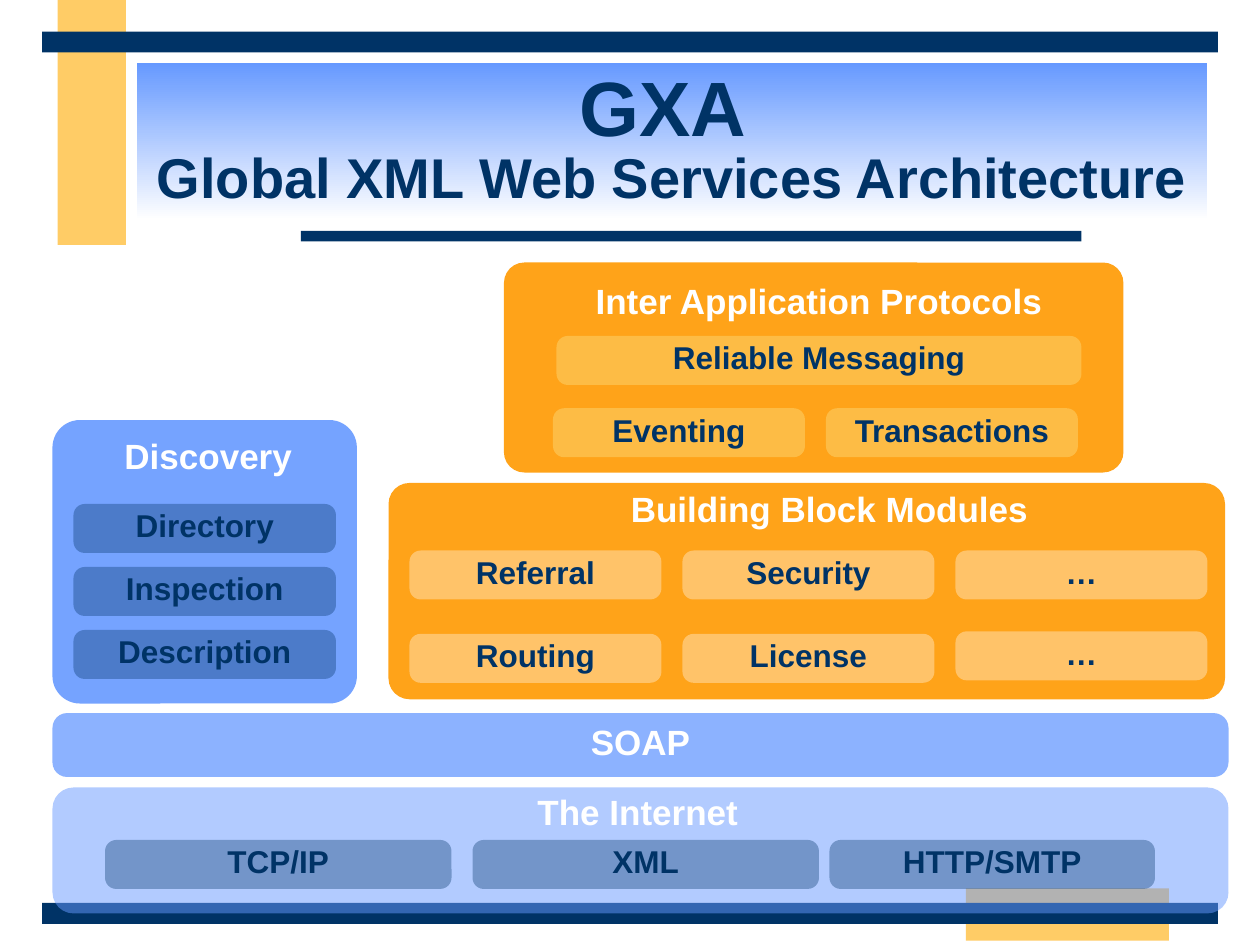
from pptx import Presentation
from pptx import util as u
from pptx.dml.color import RGBColor
from pptx.enum import shapes, text
from pptx.oxml.ns import qn
from lxml import etree

Pt = u.Pt
C = {"navy": "003366", "gold": "FFCC66", "blue": "6699FF",
     "orange": "FF9900", "cream": "FCEB98", "white": "FFFFFF"}
TILE_H = 28


def rgb(name):
    return RGBColor.from_string(C[name])


def add_block(s, kind, box, colour, alpha=100, adj=None):
    sp = s.shapes.add_shape(kind, *map(Pt, box))
    sp.shadow.inherit = False
    sp.line.fill.background()
    sp.fill.solid()
    sp.fill.fore_color.rgb = rgb(colour)
    if adj is not None:
        sp.adjustments[0] = adj
    if alpha < 100:
        clr = sp.fill._xPr.find(qn("a:solidFill"))[0]
        etree.SubElement(clr, qn("a:alpha")).set("val", str(alpha * 1000))
    return sp


def add_rounded(s, box, colour, alpha, adj):
    return add_block(s, shapes.MSO_SHAPE.ROUNDED_RECTANGLE, box, colour, alpha, adj)


def write(sp, words, size, colour, wrap):
    tf = sp.text_frame
    tf.word_wrap = wrap
    tf.margin_left = tf.margin_right = Pt(7.2)
    tf.margin_top, tf.margin_bottom = Pt(0), Pt(3.6)
    p = tf.paragraphs[0]
    p.text = words
    p.alignment = text.PP_ALIGN.CENTER
    p.font.name, p.font.size, p.font.bold = "Arial", Pt(size), True
    p.font.color.rgb = rgb(colour)


def add_tile(s, box, words, colour):
    sp = add_rounded(s, box, colour, 35, 0.229)
    sp.text_frame.vertical_anchor = text.MSO_ANCHOR.MIDDLE
    write(sp, words, 18, "navy", False)


def add_heading(s, box, words):
    write(s.shapes.add_textbox(*map(Pt, box)), words, 20, "white", True)


def add_frame(s):
    for colour, box in (("gold", (33, 0, 39, 140)), ("gold", (552, 507.6, 116, 30)),
                        ("navy", (172, 132, 446, 6)), ("navy", (24, 516, 672, 12)),
                        ("navy", (24, 18, 672, 12))):
        add_block(s, shapes.MSO_SHAPE.RECTANGLE, box, colour)


def add_title(s, box):
    sp = s.shapes.title
    sp.left, sp.top, sp.width, sp.height = map(Pt, box)
    sp.fill.gradient()
    sp.fill.gradient_angle = 270
    for stop, colour in zip(sp.fill.gradient_stops, ("blue", "white")):
        stop.color.rgb = rgb(colour)
    tf = sp.text_frame
    tf.auto_size = text.MSO_AUTO_SIZE.NONE
    tf.word_wrap = True
    tf.vertical_anchor = text.MSO_ANCHOR.MIDDLE
    p = tf.paragraphs[0]
    p.alignment = text.PP_ALIGN.CENTER
    p.line_spacing = 0.85
    p.font.name, p.font.bold = "Arial", True
    p.font.color.rgb = rgb("navy")
    r = p.add_run()
    r.text, r.font.size = "GXA ", Pt(44)
    p.add_line_break()
    r = p.add_run()
    r.text, r.font.size = "Global XML Web Services Architecture", Pt(32)


def add_protocols(s, box):
    x, y, w, h = box
    add_rounded(s, box, "orange", 90, 0.097)
    add_heading(s, (x + 12, y + 10, w - 18, TILE_H), "Inter Application Protocols")
    add_tile(s, (x + 30, y + 42, 300, TILE_H), "Reliable Messaging", "cream")
    for i, words in enumerate(("Eventing", "Transactions")):
        add_tile(s, (x + 28 + i * 156, y + 83.3, 144, TILE_H), words, "cream")


def add_modules(s, box):
    x, y, w, h = box
    add_rounded(s, box, "orange", 90, 0.097)
    add_heading(s, (x + 99, y + 2.6, 306, TILE_H), "Building Block Modules")
    columns = (("Referral", "Routing", 47.6), ("Security", "License", 47.6), ("…", "…", 46.2))
    for i, (upper, lower, step) in enumerate(columns):
        for words, dy in ((upper, 0), (lower, step)):
            add_tile(s, (x + 12 + i * 156, y + 38.6 + dy, 144, TILE_H), words, "white")


def add_discovery(s, box):
    x, y, w, h = box
    add_rounded(s, box, "blue", 90, 0.097)
    add_heading(s, (x + 11, y + 8.4, w - 18, TILE_H), "Discovery")
    for i, words in enumerate(("Directory", "Inspection", "Description")):
        add_tile(s, (x + 12, y + 48 + i * 36, w - 24, TILE_H), words, "navy")


def add_soap(s, box):
    sp = add_rounded(s, box, "blue", 75, 0.229)
    sp.text_frame.vertical_anchor = text.MSO_ANCHOR.MIDDLE
    write(sp, "SOAP", 20, "white", False)


def add_internet(s, box):
    x, y, w, h = box
    add_rounded(s, box, "blue", 50, 0.167)
    add_heading(s, (x + 260, y + 1.5, 149, TILE_H), "The Internet")
    for dx, width, words in ((30, 198, "TCP/IP"), (240, 198, "XML"), (444, 186, "HTTP/SMTP")):
        add_tile(s, (x + dx, y + 30, width, TILE_H), words, "navy")


prs = Presentation()
prs.slide_width, prs.slide_height = Pt(720), Pt(540)
s = prs.slides.add_slide(prs.slide_layouts[5])
add_frame(s)
add_title(s, (78, 36, 612, 90))
add_protocols(s, (288, 150, 354, 120))
add_internet(s, (30, 450, 672, 72))
add_soap(s, (30, 407.5, 672, 36.5))
add_discovery(s, (30, 240, 174, 162))
add_modules(s, (222, 276, 478, 123.6))
prs.save("out.pptx")
